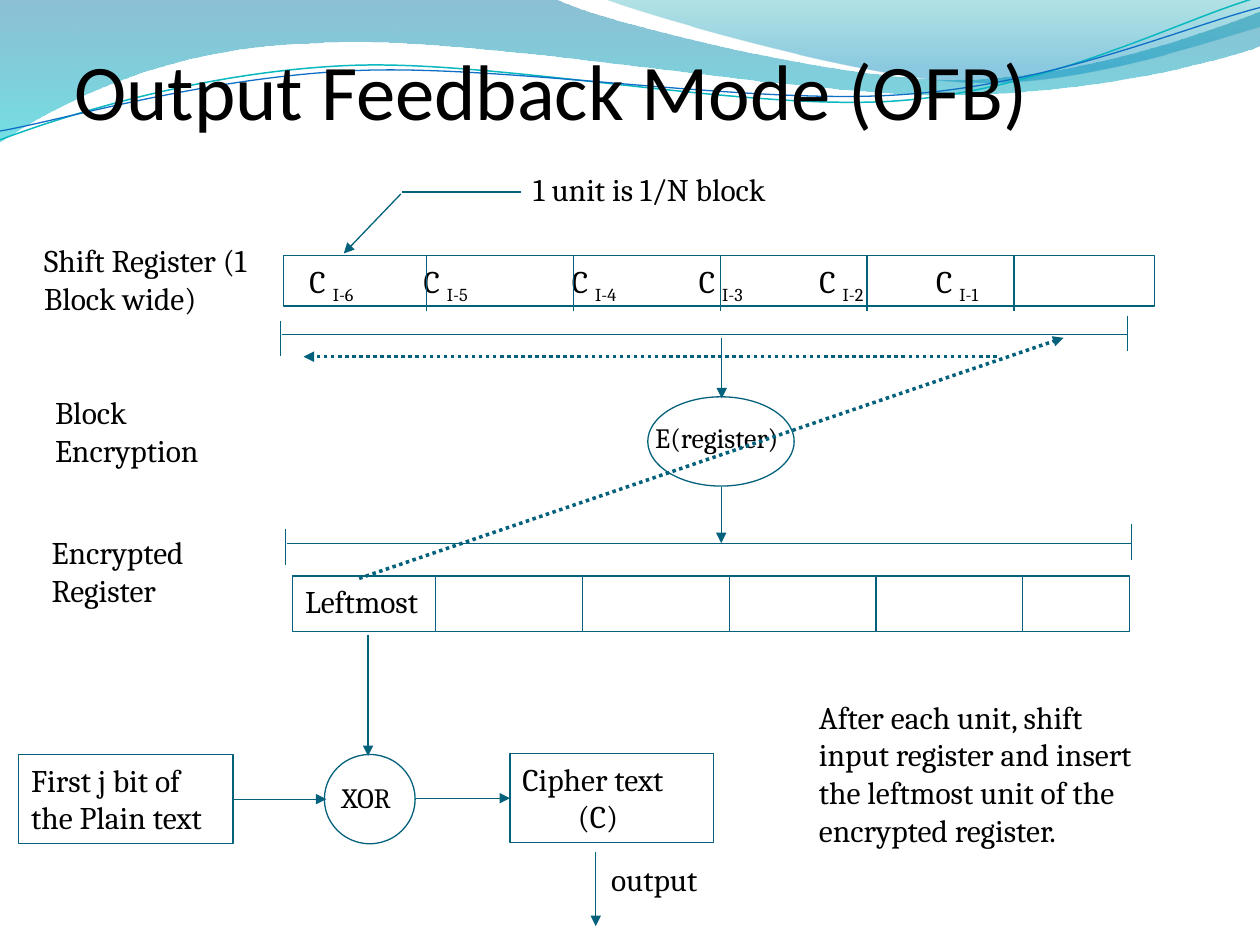
import math

from lxml import etree
from pptx import Presentation
from pptx import util as u
from pptx.dml import color
from pptx.enum import dml, shapes, text
from pptx.oxml import ns

Cm = u.Cm
HUES = {"ink": "000000", "edge": "04617B", "teal": "0AB8BF", "blue": "0F6FC6",
        "sea": "0074A1", "aqua": "00C6CF", "mint": "00A1A9", "sky": "008BBF"}
BODY = {"name": "Cambria", "size": u.Pt(18)}
SMALL = {"name": "Cambria", "size": u.Pt(16)}
HEAD = {"name": "Calibri", "size": u.Pt(45)}
FRAME = {"word_wrap": True, "vertical_anchor": text.MSO_ANCHOR.TOP}
TITLE = {"word_wrap": True, "vertical_anchor": text.MSO_ANCHOR.BOTTOM,
         "margin_left": 0, "margin_right": 0, "margin_bottom": 0}
TILT = 2.7
WAVES = [
    ((0, 0), [(4.4, -0.01), (4.76, 0.17, 6.64, 0.63, 7.58, 0.63),
              (8.53, 0.63, 9.58, 0.26, 10, 0.09), (10.01, 0.36),
              (9.83, 0.44, 8.7, 0.76, 7.46, 0.75), (6.22, 0.75, 3.82, 0.28, 2.57, 0.34),
              (1.29, 0.36, 0.46, 0.83, -0.01, 1.13)],
     [("sea", 0, 45), ("aqua", 1, 55)]),
    ((4.79, -0.01), [(5.09, 0.11, 6.82, 0.62, 7.69, 0.65),
                     (8.56, 0.69, 9.61, 0.32, 10, 0.21), (10, 0)],
     [("mint", 0, 30), ("sky", 0.8, 45)]),
]
CURVES = [
    ((0, 1.11), [(0.48, 0.93, 1.58, 0.57, 2.77, 0.52), (3.95, 0.47, 5.93, 0.89, 7.13, 0.8),
                 (8.33, 0.71, 9.38, 0.15, 9.98, -0.02)], "teal", 0.85),
    ((0, 1.04), [(0.47, 0.96, 1.64, 0.61, 2.83, 0.56), (4.03, 0.51, 5.97, 0.84, 7.17, 0.75),
                 (8.36, 0.67, 9.41, 0.21, 10, 0.06)], "blue", 0.75),
]


def rgb(key):
    return color.RGBColor.from_string(HUES[key])


def apply(item, vals):
    for key, val in vals.items():
        setattr(item, key, val)


def stroke(line, hue="edge", width=0.75):
    line.color.rgb = rgb(hue)
    line.width = u.Pt(width)


def shift(box, part):
    return (box[0] + part[0], box[1] + part[1], *part[2:])


def add_run(para, words, font=BODY, sub=False):
    run = para.add_run()
    run.text = words
    apply(run.font, font)
    run.font.color.rgb = rgb("ink")
    if sub:
        run.font._element.set("baseline", "-25000")


def fill_text(shape, lines, font=BODY, frame=FRAME):
    apply(shape.text_frame, frame)
    for num, words in enumerate(lines):
        para = shape.text_frame.paragraphs[0] if num == 0 else shape.text_frame.add_paragraph()
        para.alignment = text.PP_ALIGN.LEFT
        add_run(para, words, font)


def label(page, box, words, font=BODY, wrap=True, frame=FRAME):
    item = page.shapes.add_textbox(*map(Cm, box))
    fill_text(item, [words], font, {**frame, "word_wrap": wrap})


def outline(page, box, kind=shapes.MSO_SHAPE.RECTANGLE):
    item = page.shapes.add_shape(kind, *map(Cm, box))
    item.shadow.inherit = False
    item.fill.background()
    stroke(item.line)
    return item


def link(page, box, start, end, arrow=True, dots=False, source=None, target=None):
    ends = shift(box, start) + shift(box, end)
    item = page.shapes.add_connector(shapes.MSO_CONNECTOR.STRAIGHT, *map(Cm, ends))
    if source:
        item.begin_connect(source, 3)
    if target:
        item.end_connect(target, 1)
    stroke(item.line, width=2 if dots else 0.75)
    if dots:
        item.line.dash_style = dml.MSO_LINE.ROUND_DOT
    if arrow:
        etree.SubElement(item.line._get_or_add_ln(), ns.qn("a:tailEnd"), type="triangle")
    etree.SubElement(item._element.spPr, ns.qn("a:effectLst"))


def trace(page, box, start, parts, close, tilt=0):
    unit, turn = box[2] / 10, math.radians(tilt)

    def spot(x, y):
        dx, dy = x - 4.99, y - 0.57
        if tilt:
            x = 4.99 + dx * math.cos(turn) - dy * math.sin(turn)
            y = 0.57 + dx * math.sin(turn) + dy * math.cos(turn)
        return Cm(box[0] + x * unit), Cm(box[1] + y * unit)

    form = page.shapes.build_freeform(*spot(*start))
    form.add_line_segments([spot(*part[-2:]) for part in parts], close=close)
    item = form.convert_to_shape()
    item.shadow.inherit = False
    for leg, part in zip(list(item._element.iter(ns.qn("a:lnTo"))), parts):
        if len(part) == 6:
            bend = etree.Element(ns.qn("a:cubicBezTo"))
            for num in (0, 2, 4):
                x, y = spot(*part[num:num + 2])
                etree.SubElement(bend, ns.qn("a:pt"), x=str(x - item.left), y=str(y - item.top))
            leg.getparent().replace(leg, bend)
    item.rotation = -tilt
    return item


def waves(page, box):
    for start, parts, stops in WAVES:
        item = trace(page, box, start, parts, True)
        item.line.fill.background()
        item.fill.gradient()
        item.fill.gradient_angle = 270
        for stop, (hue, place, alpha) in zip(item.fill.gradient_stops, stops):
            stop.color.rgb = rgb(hue)
            stop.position = place
            tint = stop._gs.find(ns.qn("a:srgbClr"))
            etree.SubElement(tint, ns.qn("a:alpha"), val=str(alpha * 1000))
    for start, parts, hue, width in CURVES:
        item = trace(page, box, start, parts, False, TILT)
        item.fill.background()
        stroke(item.line, hue, width)


def cells(page, box):
    item = outline(page, box)
    for num in range(5):
        x = 2.88 + 2.96 * num
        link(page, box, (x, 0), (x, 1.12), arrow=False)
    return item


def bracket(page, box):
    wide = box[2]
    for start, end in [((0, 0), (wide, 0)), ((-0.03, -0.28), (-0.03, 0.43)),
                       ((wide, -0.38), (wide, 0.33))]:
        link(page, box, start, end, arrow=False)


def input_row(page, box):
    label(page, shift(box, (0, 1.44, 4.95, 1.96)), "Shift Register (1 Block wide)")
    label(page, shift(box, (9.86, 0, 5.94, 1.09)), "1 unit is 1/N block", wrap=False)
    link(page, box, (7.44, 0.61), (6.29, 1.81))
    link(page, box, (7.46, 0.57), (9.86, 0.57), arrow=False)
    row = cells(page, shift(box, (5.08, 1.85, 17.55, 1.02)))
    apply(row.text_frame, FRAME)
    para = row.text_frame.paragraphs[0]
    para.alignment = text.PP_ALIGN.LEFT
    tabs = etree.SubElement(para._p.get_or_add_pPr(), ns.qn("a:tabLst"))
    for num, stop in enumerate((0.27, 2.57, 5.56, 8.12, 10.55, 12.9)):
        etree.SubElement(tabs, ns.qn("a:tab"), pos=str(Cm(stop)), algn="l")
        add_run(para, "\tC ")
        add_run(para, f"I-{6 - num}", sub=True)
    bracket(page, shift(box, (5.05, 3.45, 17.04)))


def output_row(page, box):
    label(page, shift(box, (0, 0.05, 3.86, 1.96)), "Encrypted Register")
    bracket(page, shift(box, (5, 0.38, 17.02)))
    row = cells(page, shift(box, (5.11, 1.04, 16.87, 1.12)))
    fill_text(row, ["Leftmost"])


def cipher(page, box):
    label(page, shift(box, (0.07, 0.99, 4.42, 1.96)), "Block Encryption")
    outline(page, shift(box, (12.27, 1.19, 2.95, 1.8)), shapes.MSO_SHAPE.OVAL)
    label(page, shift(box, (12.17, 1.55, 3.12, 0.94)), "E(register)", SMALL, False)
    link(page, box, (13.76, 0), (13.76, 1.22))
    link(page, box, (13.75, 3), (13.75, 4.14))
    link(page, box, (6.45, 4.85), (20.65, 0), dots=True)
    link(page, box, (19.3, 0.38), (5.33, 0.38), dots=True)


def mixer(page, box):
    plain = outline(page, shift(box, (0, 2.41, 4.32, 1.8)))
    fill_text(plain, ["First j bit of the Plain text"])
    coded = outline(page, shift(box, (9.9, 2.39, 4.11, 1.8)))
    fill_text(coded, ["Cipher text", "(C)"])
    coded.text_frame.paragraphs[1]._p.get_or_add_pPr().set("marL", str(Cm(1.12)))
    outline(page, shift(box, (6.16, 2.41, 1.83, 1.8)), shapes.MSO_SHAPE.OVAL)
    label(page, shift(box, (6.26, 2.82, 1.75, 0.94)), "XOR", SMALL, False)
    link(page, box, (7.04, 0), (7.04, 2.44))
    link(page, box, (4.32, 3.31), (6.2, 3.31), source=plain)
    link(page, box, (8, 3.29), (9.9, 3.29), target=coded)
    link(page, box, (11.63, 4.37), (11.63, 5.87))
    label(page, shift(box, (11.69, 4.42, 2.51, 1.09)), "output", wrap=False)
    label(page, shift(box, (15.88, 1.14, 7.24, 4.5)),
          "After each unit, shift input register and insert the leftmost unit "
          "of the encrypted register.")


def main():
    deck = Presentation()
    apply(deck, {"slide_width": Cm(25.4), "slide_height": Cm(19.05)})
    page = deck.slides.add_slide(deck.slide_layouts[6])
    waves(page, (0, 0, 25.4, 19.05))
    label(page, (1.5, 0.64, 22.48, 2.11), "Output Feedback Mode (OFB)", HEAD, frame=TITLE)
    input_row(page, (0.64, 3.3))
    output_row(page, (0.79, 10.57))
    mixer(page, (0.38, 12.8))
    cipher(page, (0.79, 6.81))
    deck.save("out.pptx")


if __name__ == "__main__":
    main()
